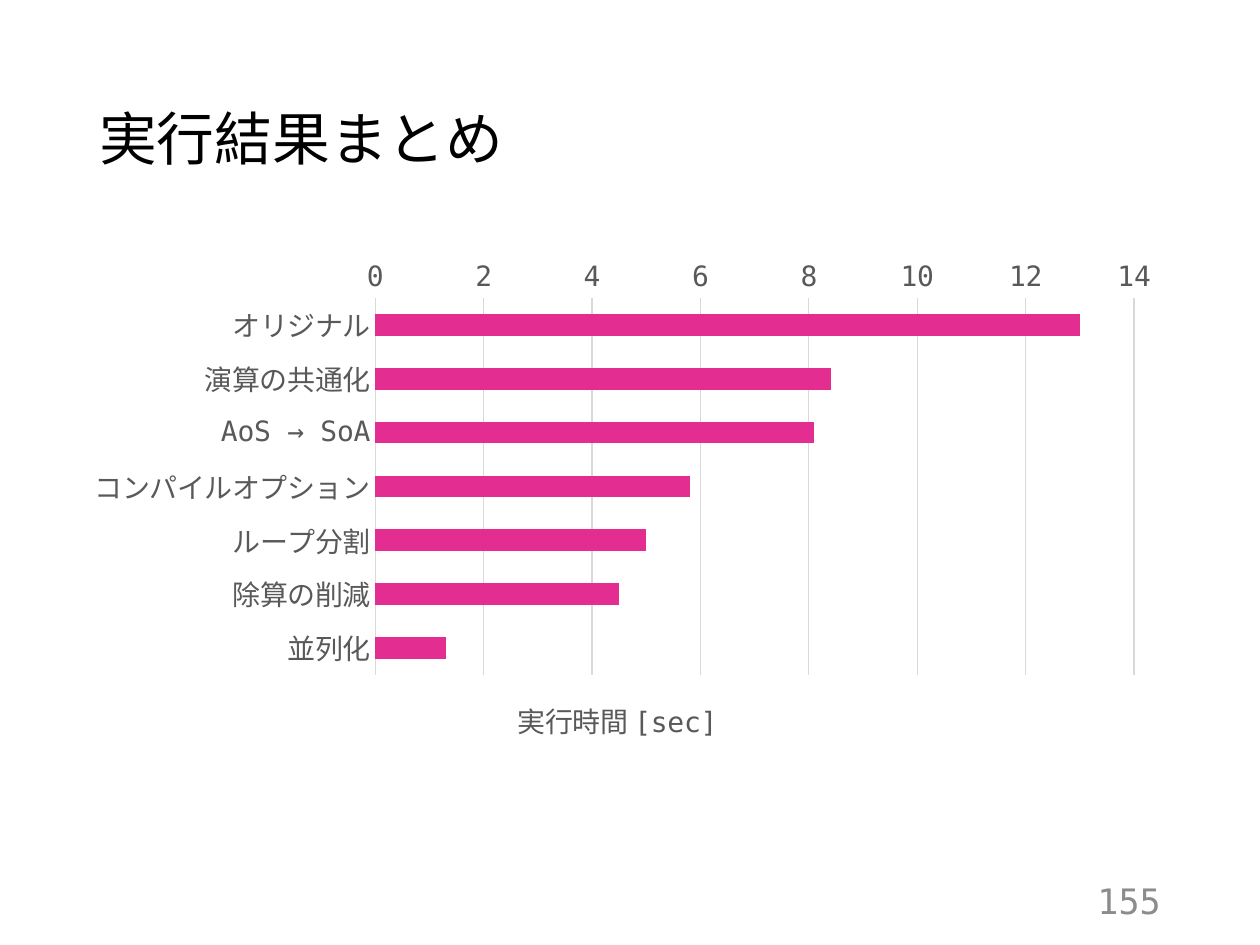
from lxml import etree
from pptx import Presentation
from pptx.chart.data import CategoryChartData
from pptx.dml.color import RGBColor
from pptx.enum.chart import XL_CHART_TYPE, XL_TICK_MARK
from pptx.enum.text import MSO_ANCHOR, PP_ALIGN
from pptx.oxml.ns import qn
from pptx.util import Cm, Pt

BAR_STACKED = XL_CHART_TYPE.BAR_STACKED
NO_TICK = XL_TICK_MARK.NONE
MIDDLE = MSO_ANCHOR.MIDDLE
LEFT, RIGHT = PP_ALIGN.LEFT, PP_ALIGN.RIGHT

FONT = "DejaVu Sans Mono"
BLACK = RGBColor(0x00, 0x00, 0x00)
GRAY = RGBColor(0x8C, 0x8C, 0x8C)
LABEL_GRAY = RGBColor(0x59, 0x59, 0x59)
GRID_GRAY = RGBColor(0xD9, 0xD9, 0xD9)
PINK = RGBColor(0xE3, 0x2D, 0x91)

HEADING = "実行結果まとめ"
PAGE_NUMBER = "155"
TIME_LABEL = "実行時間 [sec]"
TIMES = [
    ("オリジナル", 13),
    ("演算の共通化", 8.4),
    ("AoS → SoA", 8.1),
    ("コンパイルオプション", 5.8),
    ("ループ分割", 5),
    ("除算の削減", 4.5),
    ("並列化", 1.3),
]


def style_font(font, size, color):
    font.name = FONT
    font.size = Pt(size)
    font.bold = False
    font.color.rgb = color


def add_text(slide, text, box, size, color, align, line_spacing=1.0):
    frame = slide.shapes.add_textbox(*map(Cm, box)).text_frame
    frame.word_wrap = True
    frame.vertical_anchor = MIDDLE
    paragraph = frame.paragraphs[0]
    paragraph.text = text
    paragraph.alignment = align
    paragraph.line_spacing = line_spacing
    style_font(paragraph.font, size, color)


def place(parent, index, **settings):
    for old in parent.findall(qn("c:layout")):
        parent.remove(old)
    layout = etree.Element(qn("c:layout"))
    manual = etree.SubElement(layout, qn("c:manualLayout"))
    for name, value in settings.items():
        etree.SubElement(manual, qn(f"c:{name}")).set("val", str(value))
    parent.insert(index, layout)


def style_line(line):
    line.color.rgb = GRID_GRAY
    line.width = Pt(0.75)


def add_time_chart(slide):
    data = CategoryChartData()
    data.categories = [step for step, _ in TIMES]
    data.add_series(TIME_LABEL, [seconds for _, seconds in TIMES])
    box = map(Cm, (1.47, 5.08, 22.17, 10.21))
    chart = slide.shapes.add_chart(BAR_STACKED, *box, data).chart
    chart.has_legend = False
    chart.has_title = False
    style_font(chart.font, 16, BLACK)

    bars = chart.plots[0]
    bars.gap_width = 150
    bars.overlap = 100
    bars.vary_by_categories = False
    fill = bars.series[0].format.fill
    fill.solid()
    fill.fore_color.rgb = PINK

    steps, seconds = chart.category_axis, chart.value_axis
    for axis in (steps, seconds):
        axis.major_tick_mark = axis.minor_tick_mark = NO_TICK
        style_font(axis.tick_labels.font, 16, LABEL_GRAY)
    steps.reverse_order = True
    style_line(steps.format.line)
    seconds.minimum_scale, seconds.maximum_scale = 0, 14
    seconds.major_unit = 2
    seconds.format.line.fill.background()
    seconds.has_major_gridlines = True
    style_line(seconds.major_gridlines.format.line)

    label = seconds.axis_title.text_frame.paragraphs[0]
    label.text = TIME_LABEL
    style_font(label.font, 16, LABEL_GRAY)
    place(seconds.axis_title.element, 1,
          xMode="edge", yMode="edge", x=0.4, y=0.87)
    place(chart.element.find(f".//{qn('c:plotArea')}"), 0,
          layoutTarget="inner", xMode="edge", yMode="edge",
          x=0.275, y=0.091, w=0.69, h=0.744)


def main():
    deck = Presentation()
    deck.slide_width, deck.slide_height = Cm(25.4), Cm(19.05)
    slide = deck.slides.add_slide(deck.slide_layouts[6])
    add_text(slide, HEADING, (1.75, 1.02, 21.9, 3.68), 33, BLACK, LEFT, 0.9)
    add_time_chart(slide)
    add_text(slide, PAGE_NUMBER, (17.93, 17.65, 5.72, 1.02), 20, GRAY, RIGHT)
    deck.save("out.pptx")


if __name__ == "__main__":
    main()
